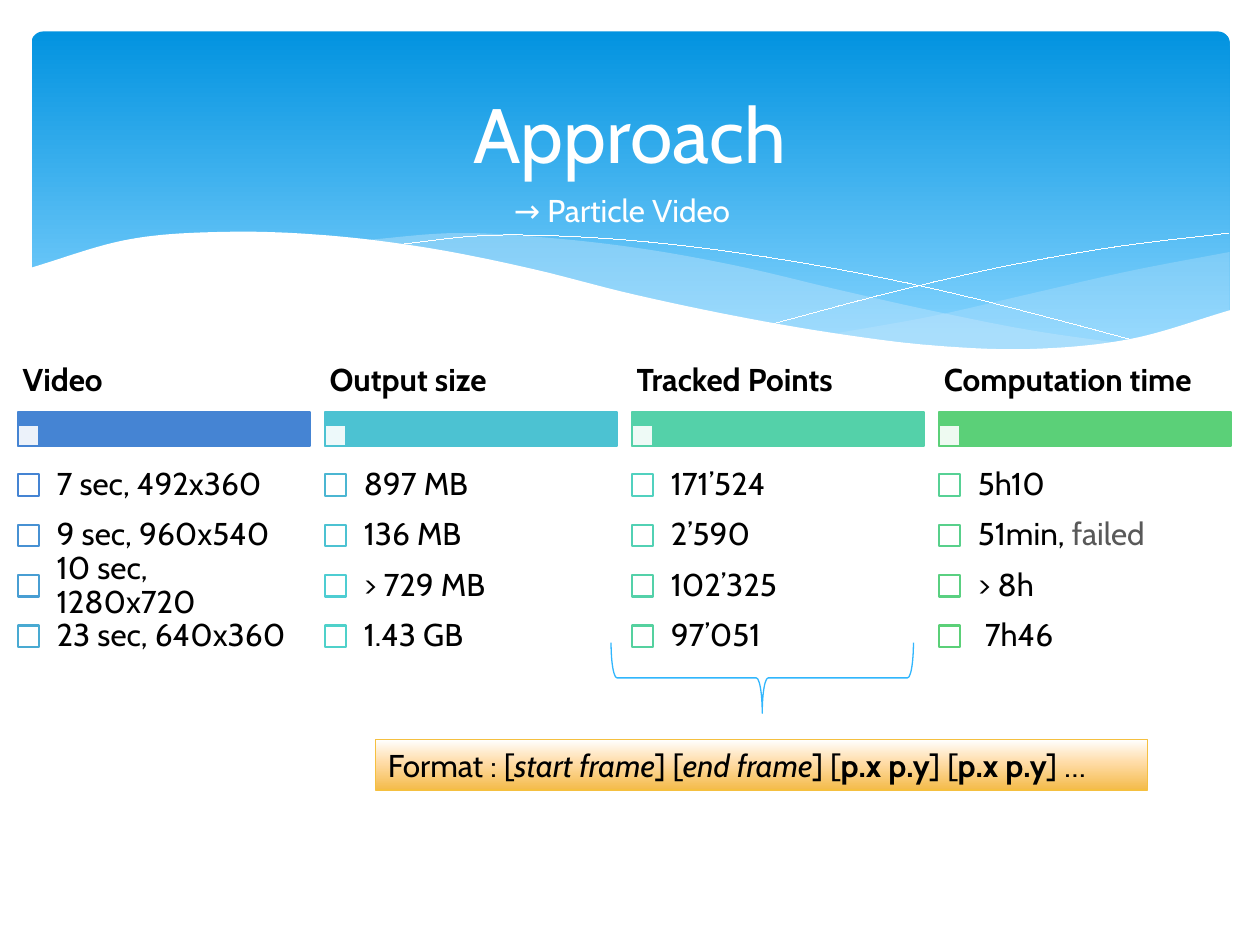
from colorsys import hls_to_rgb, rgb_to_hls
from lxml.etree import SubElement
from pptx import Presentation
from pptx.dml.color import RGBColor
from pptx.enum.shapes import MSO_SHAPE
from pptx.enum.text import MSO_ANCHOR, MSO_AUTO_SIZE, PP_ALIGN
from pptx.oxml.ns import qn
from pptx.util import Inches, Pt

THEME = {
    "font": "Cabin", "title": 44, "body": 18,
    "text": "000000", "muted": "595959", "white": "FFFFFF",
    "wave": "C6E7FC", "brace": "31B6FD", "format_line": "F5C040",
    "first_accent": "4584D3", "last_accent": "5BD078",
    "banner": [(0, "0293E0"), (90, "83D3FE")],
    "format": [(0, "FFFFFF"), (44, "FFDDAA"), (100, "F4BB4A")],
    "outline": 1.25, "thin": 0.75, "hairline": 0.01,
}

TITLE = "Approach"
SUBTITLE = "→ Particle Video"
COLUMNS = [
    ("Video", ["7 sec, 492x360", "9 sec, 960x540", "10 sec, 1280x720", "23 sec, 640x360"]),
    ("Output size", ["897 MB", "136 MB", "> 729 MB", "1.43 GB"]),
    ("Tracked Points", ["171’524", "2’590", "102’325", "97’051"]),
    ("Computation time", ["5h10", "51min, |failed", "> 8h", " 7h46"]),
]
FORMAT = [
    ("Format : [", ""), ("start frame", "i"), ("] [", ""), ("end frame", "i"),
    ("] [", ""), ("p.x p.y", "b"), ("] [", ""), ("p.x p.y", "b"), ("] …", ""),
]

WAVE_BANDS = [
    {"span": (6.61, 9.76), "alpha": 29,
     "top": [2.65, 2.51, 2.33, 2.15, 2],
     "bottom": [2.65, 2.74, 2.78, 2.7, 2.47]},
    {"span": (2.86, 8.93), "alpha": 40,
     "top": [1.91, 1.85, 1.89, 1.98, 2.12, 2.3, 2.47, 2.62, 2.73],
     "bottom": [1.91, 2.03, 2.19, 2.37, 2.53, 2.66, 2.75, 2.78, 2.73]},
]
WAVE_LINES = [
    {"span": (3.09, 9.07), "heights": [1.95, 1.87, 1.88, 1.94, 2.04, 2.17, 2.33, 2.52, 2.72]},
    {"span": (6.13, 9.75), "heights": [2.57, 2.33, 2.12, 1.96, 1.85]},
]
BANNER_EDGE = {
    "span": (0.23, 9.77), "floor": 3.29,
    "heights": [2.13, 1.9, 1.84, 1.87, 1.97, 2.13, 2.33, 2.5, 2.64, 2.74, 2.77, 2.69, 2.46],
}


def smooth_curve(span, heights, steps=12):
    """Catmull-Rom spline through heights spaced evenly across the span."""
    left, right = span
    segments = len(heights) - 1
    before = 2 * heights[0] - heights[1]
    after = 2 * heights[-1] - heights[-2]
    knots = [before, *heights, after]
    points = []
    for step in range(segments * steps + 1):
        segment = min(step // steps, segments - 1)
        t = step / steps - segment
        a, b, c, d = knots[segment:segment + 4]
        y = b + t / 2 * (c - a + t * (2 * a - 5 * b + 4 * c - d + t * (3 * (b - c) + d - a)))
        points.append((left + (right - left) * step / (segments * steps), y))
    return points


def accent_scale(count):
    """Evenly stepped hues from the first accent to the last."""
    first, last = [rgb_to_hls(*(part / 255 for part in RGBColor.from_string(THEME[name])))
                   for name in ("first_accent", "last_accent")]
    colors = []
    for index in range(count):
        share = index / (count - 1)
        mixed = [start + (end - start) * share for start, end in zip(first, last)]
        colors.append(str(RGBColor(*(round(part * 255) for part in hls_to_rgb(*mixed)))))
    return colors


def paint(shape, fill=None, line=None, width=THEME["outline"], alpha=None):
    shape.shadow.inherit = False
    if fill is None:
        shape.fill.background()
    elif isinstance(fill, list):
        shape.fill.gradient()
        shape.fill.gradient_angle = 270
        stops = shape._element.spPr.find(".//" + qn("a:gsLst"))
        stops.clear()
        for position, color in fill:
            stop = SubElement(stops, qn("a:gs"), pos=str(position * 1000))
            SubElement(stop, qn("a:srgbClr"), val=color)
    else:
        shape.fill.solid()
        shape.fill.fore_color.rgb = RGBColor.from_string(fill)
        if alpha:
            color = shape._element.spPr.find(qn("a:solidFill"))[0]
            SubElement(color, qn("a:alpha"), val=str(alpha * 1000))
    if line is None:
        shape.line.fill.background()
    else:
        shape.line.color.rgb = RGBColor.from_string(line)
        shape.line.width = Pt(width)


def add_preset(slide, preset, box, **style):
    shape = slide.shapes.add_shape(preset, *map(Inches, box))
    paint(shape, **style)
    return shape


def add_curve(slide, points, closed=True, **style):
    start, *rest = [(Inches(x), Inches(y)) for x, y in points]
    builder = slide.shapes.build_freeform(*start)
    builder.add_line_segments(rest, close=closed)
    paint(builder.convert_to_shape(), **style)


def write(shape, runs, size=THEME["body"], align=PP_ALIGN.LEFT, anchor=MSO_ANCHOR.MIDDLE,
          insets=None, spacing=None, wrap=True):
    frame = shape.text_frame
    frame.word_wrap = wrap
    frame.auto_size = MSO_AUTO_SIZE.NONE if wrap else MSO_AUTO_SIZE.SHAPE_TO_FIT_TEXT
    frame.vertical_anchor = anchor
    if insets:
        across, down = map(Inches, insets)
        frame.margin_left = frame.margin_right = across
        frame.margin_top = frame.margin_bottom = down
    paragraph = frame.paragraphs[0]
    paragraph.alignment = align
    if spacing:
        paragraph.line_spacing = spacing
    for words, emphasis, color in runs:
        run = paragraph.add_run()
        run.text = words
        run.font.name = THEME["font"]
        run.font.size = Pt(size)
        run.font.bold = emphasis == "b"
        run.font.italic = emphasis == "i"
        run.font.color.rgb = RGBColor.from_string(color)


def add_label(slide, box, runs, **layout):
    write(slide.shapes.add_textbox(*map(Inches, box)), runs, **layout)


def add_banner(slide):
    banner = add_preset(slide, MSO_SHAPE.ROUNDED_RECTANGLE, (0.25, 0.25, 9.51, 2.7),
                        fill=THEME["banner"])
    banner.adjustments[0] = 0.034
    for band in WAVE_BANDS:
        top = smooth_curve(band["span"], band["top"])
        bottom = smooth_curve(band["span"], band["bottom"])
        add_curve(slide, top + bottom[::-1], fill=THEME["wave"], alpha=band["alpha"])
    for wave in WAVE_LINES:
        add_curve(slide, smooth_curve(wave["span"], wave["heights"]), closed=False,
                  line=THEME["white"], width=THEME["hairline"])
    left, right = BANNER_EDGE["span"]
    floor = [(right, BANNER_EDGE["floor"]), (left, BANNER_EDGE["floor"])]
    edge = smooth_curve(BANNER_EDGE["span"], BANNER_EDGE["heights"])
    add_curve(slide, edge + floor, fill=THEME["white"])
    add_label(slide, (0.5, 0.37, 9, 1.37), [(TITLE, "", THEME["white"])],
              size=THEME["title"], align=PP_ALIGN.CENTER)
    add_label(slide, (3.98, 1.47, 1.96, 0.4), [(SUBTITLE, "", THEME["white"])],
              anchor=MSO_ANCHOR.TOP, wrap=False)


def add_columns(slide):
    left, right, width = 0.14, 9.77, 2.32
    bar_top, bar_height, heading_height = 3.27, 0.27, 0.49
    rows_top, row_height, square = 3.65, 0.4, 0.17
    pitch = (right - left - width) / (len(COLUMNS) - 1)
    row_count = len(COLUMNS[0][1])
    accents = accent_scale(len(COLUMNS) * row_count)
    for column, (heading, entries) in enumerate(COLUMNS):
        x = left + column * pitch
        accent = accents[column * (len(accents) - 1) // (len(COLUMNS) - 1)]
        add_preset(slide, MSO_SHAPE.RECTANGLE, (x, bar_top, width, bar_height),
                   fill=accent, line=accent)
        add_preset(slide, MSO_SHAPE.RECTANGLE,
                   (x, bar_top + bar_height - square, square, square),
                   fill=THEME["white"], line=accent, alpha=90)
        add_label(slide, (x, bar_top - heading_height, width, heading_height),
                  [(heading, "b", THEME["text"])], insets=(0.04, 0.03), spacing=0.9)
        for row, entry in enumerate(entries):
            y = rows_top + row * row_height
            add_preset(slide, MSO_SHAPE.RECTANGLE,
                       (x, y + (row_height - square) / 2, square, square),
                       fill=THEME["white"], line=accents[column * row_count + row])
            runs = [(words, "", color) for words, color in
                    zip(entry.split("|"), (THEME["text"], THEME["muted"]))]
            add_label(slide, (x + square, y, width - square, row_height), runs,
                      insets=(0.14, 0.14), spacing=0.9)


def add_format_note(slide):
    brace = add_preset(slide, MSO_SHAPE.LEFT_BRACE, (5.77, 4.18, 0.56, 2.4),
                       line=THEME["brace"], width=THEME["thin"])
    brace.rotation = 270
    note = add_preset(slide, MSO_SHAPE.RECTANGLE, (2.98, 5.87, 6.13, 0.4),
                      fill=THEME["format"], line=THEME["format_line"], width=THEME["thin"])
    write(note, [(words, emphasis, THEME["text"]) for words, emphasis in FORMAT],
          anchor=MSO_ANCHOR.TOP, wrap=False)


deck = Presentation()
deck.slide_width, deck.slide_height = Inches(10), Inches(7.5)
slide = deck.slides.add_slide(deck.slide_layouts[6])
add_banner(slide)
add_columns(slide)
add_format_note(slide)
deck.save("out.pptx")
